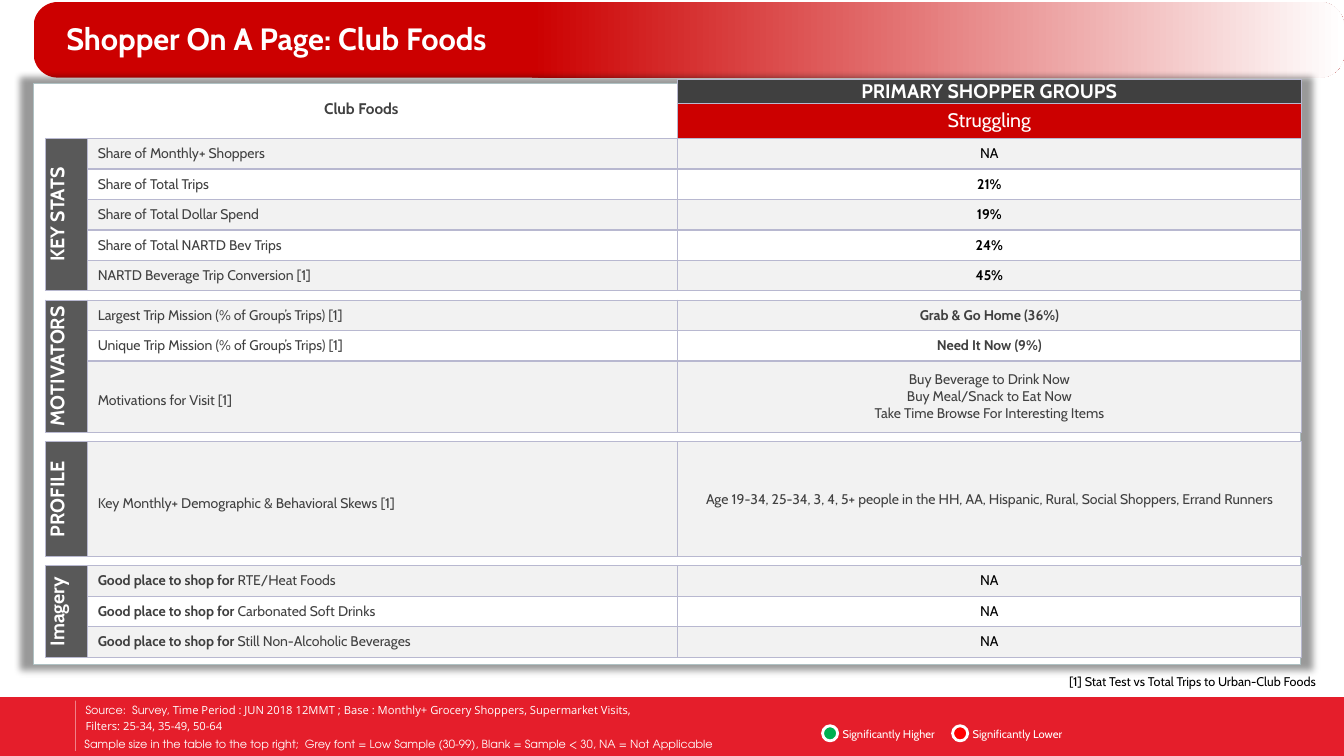
"""Builds the one-page shopper profile slide for Club Foods."""
from copy import deepcopy
from dataclasses import dataclass

from lxml import etree
from pptx import Presentation
from pptx import util as u
from pptx.dml.color import RGBColor
from pptx.enum import shapes, text
from pptx.oxml import ns


@dataclass(frozen=True)
class Theme:
    """Colours, fonts and type sizes of the slide."""
    red: str = "CC0000"
    footer: str = "E51E2B"
    white: str = "FFFFFF"
    black: str = "000000"
    ink: str = "404040"
    label: str = "595959"
    band: str = "F2F2F2"
    rule: str = "B8B8D0"
    edge: str = "AFC1C3"
    higher: str = "00B050"
    lower: str = "FF0000"
    font: str = "Cabin"
    open_font: str = "Open Sans"
    wide_font: str = "TeX Gyre Adventor"
    title: int = 22
    heading: int = 14
    subheading: int = 11
    body: int = 10
    note: int = 9
    small: int = 8


THEME = Theme()
COLUMNS, ROWS = 160, 90
NO_GRID_STYLE = "{2D5ABB26-0587-4C30-8999-92F81FD0307C}"


def node(parent, tag, **attributes):
    """Append a drawing element and return it."""
    return etree.SubElement(parent, ns.qn("a:" + tag), attributes)


def write(frame, content, size=THEME.body, color=THEME.ink, font=THEME.font, bold=False,
          align="LEFT", leading=None, before=None, after=None):
    """Fill a text frame with paragraphs of plain text or (text, overrides) spans."""
    for index, spans in enumerate([content] if isinstance(content, str) else content):
        para = frame.paragraphs[0] if index == 0 else frame.add_paragraph()
        para.alignment = getattr(text.PP_ALIGN, align)
        para.line_spacing = leading
        para.space_before = before and u.Pt(before)
        para.space_after = after and u.Pt(after)
        for words, changes in [(spans, {})] if isinstance(spans, str) else spans:
            look = dict(size=size, color=color, font=font, bold=bold) | changes
            span = para.add_run()
            span.text = words
            span.font.size, span.font.name = u.Pt(look["size"]), look["font"]
            span.font.bold = look["bold"]
            span.font.color.rgb = RGBColor.from_string(look["color"])


class Page:
    """Draws elements on one slide, measured in grid columns and rows."""

    def __init__(self, deck, theme):
        """Add a blank slide and set up the grid."""
        self.theme = theme
        self.slide = deck.slides.add_slide(deck.slide_layouts[6])
        self.column = deck.slide_width / COLUMNS
        self.row = deck.slide_height / ROWS

    def place(self, left, top, width, height):
        """Turn grid units into slide lengths."""
        return [u.Emu(round(units * step)) for units, step in
                zip((left, top, width, height), (self.column, self.row) * 2)]

    def shape(self, area, fill, kind="RECTANGLE", line=None, weight=1):
        """Draw a filled preset shape."""
        shape = self.slide.shapes.add_shape(getattr(shapes.MSO_SHAPE, kind), *self.place(*area))
        shape.shadow.inherit = False
        shape.fill.solid()
        shape.fill.fore_color.rgb = RGBColor.from_string(fill)
        if line:
            shape.line.color.rgb = RGBColor.from_string(line)
            shape.line.width = u.Pt(weight)
        else:
            shape.line.fill.background()
        return shape

    def banner(self, area, stops):
        """Draw a rounded bar with a left-to-right gradient."""
        bar = self.shape(area, self.theme.red, "ROUNDED_RECTANGLE")
        bar.adjustments[0] = 0.32
        bar.fill.gradient()
        bar.fill.gradient_angle = 0
        stop_list = bar.element.spPr.find(".//" + ns.qn("a:gsLst"))
        stop_list.insert(0, deepcopy(stop_list[0]))
        for stop, (position, color) in zip(bar.fill.gradient_stops, stops):
            stop.position = position
            stop.color.rgb = RGBColor.from_string(color)

    def panel(self, area):
        """Draw the white panel with its soft shadow."""
        panel = self.shape(area, self.theme.white, line=self.theme.edge, weight=0.75)
        effects = panel.element.spPr.find(ns.qn("a:effectLst"))
        shadow = node(effects, "outerShdw", blurRad=str(u.Pt(5)), sx="102000", sy="102000",
                      algn="ctr", rotWithShape="0")
        node(node(shadow, "srgbClr", val=self.theme.black), "alpha", val="40000")

    def text(self, area, content, anchor="MIDDLE", **style):
        """Add a wrapping text box."""
        box = self.slide.shapes.add_textbox(*self.place(*area))
        box.text_frame.word_wrap = True
        box.text_frame.vertical_anchor = getattr(text.MSO_ANCHOR, anchor)
        write(box.text_frame, content, **style)

    def divider(self, left, top, bottom):
        """Draw a faint vertical line."""
        x, y, _, height = self.place(left, top, 0, bottom - top)
        line = self.slide.shapes.add_connector(shapes.MSO_CONNECTOR.STRAIGHT, x, y, x, y + height)
        line.line.color.rgb = RGBColor.from_string(self.theme.white)
        line.line.width = u.Pt(0.5)
        properties = line.element.spPr
        node(properties.find(".//" + ns.qn("a:srgbClr")), "alpha", val="43000")
        node(properties, "effectLst")

    def table(self, left, top, widths, heights):
        """Add an unstyled table."""
        area = self.place(left, top, sum(widths), sum(heights))
        frame = self.slide.shapes.add_table(len(heights), len(widths), *area)
        table = frame.table
        table.first_row = table.horz_banding = False
        frame.element.find(".//" + ns.qn("a:tableStyleId")).text = NO_GRID_STYLE
        for column, width in zip(table.columns, widths):
            column.width = round(width * self.column)
        for row, height in zip(table.rows, heights):
            row.height = round(height * self.row)
        return table

    def cell(self, cell, content="", fill=None, sides="LRTB", indent=0, upright=False, **style):
        """Format one table cell and write its text."""
        properties = cell._tc.get_or_add_tcPr()
        for side in sides:
            line = node(properties, "ln" + side, w=str(u.Pt(1)))
            node(node(line, "solidFill"), "srgbClr", val=self.theme.rule)
        if fill:
            cell.fill.solid()
            cell.fill.fore_color.rgb = RGBColor.from_string(fill)
        else:
            cell.fill.background()
        cell.margin_left = u.Inches(indent)
        cell.margin_right = cell.margin_top = cell.margin_bottom = 0
        cell.vertical_anchor = text.MSO_ANCHOR.MIDDLE
        if upright:
            properties.set("vert", "vert270")
        if content:
            write(cell.text_frame, content, **style)
        else:
            node(cell.text_frame.paragraphs[0]._p, "endParaRPr", sz="100")


def imagery(item):
    """Return an imagery row with its bold lead-in."""
    return [[("Good place to shop for ", {"bold": True}), (item, {})]], "NA", LINE, FIGURE


LINE, GAP = 3.63, 1.1
FIGURE = {"color": THEME.black}
STRONG_FIGURE = FIGURE | {"bold": True}
STRONG = {"bold": True}
SECTIONS = [
    ("KEY STATS", [
        ("Share of Monthly+ Shoppers", "NA", LINE, FIGURE),
        ("Share of Total Trips", "21%", LINE, STRONG_FIGURE),
        ("Share of Total Dollar Spend", "19%", LINE, STRONG_FIGURE),
        ("Share of Total NARTD Bev Trips", "24%", LINE, STRONG_FIGURE),
        ("NARTD Beverage Trip Conversion [1]", "45%", LINE, STRONG_FIGURE)]),
    ("MOTIVATORS", [
        ("Largest Trip Mission (% of Group’s Trips) [1]", "Grab & Go Home (36%)", LINE, STRONG),
        ("Unique Trip Mission (% of Group’s Trips) [1]", "Need It Now (9%)", LINE, STRONG),
        ("Motivations for Visit [1]", ["Buy Beverage to Drink Now", "Buy Meal/Snack to Eat Now",
                                       "Take Time Browse For Interesting Items"], 8.5, {})]),
    ("PROFILE", [
        ("Key Monthly+ Demographic & Behavioral Skews [1]",
         "Age 19-34, 25-34, 3, 4, 5+ people in the HH, AA, Hispanic, Rural, Social Shoppers, "
         "Errand Runners", 13.68, {})]),
    ("Imagery", [imagery(item) for item in (
        "RTE/Heat Foods", "Carbonated Soft Drinks", "Still Non-Alcoholic Beverages")]),
]


def shopper_table(page):
    """Draw the header and the four sections of the shopper table."""
    theme = page.theme
    heights = [2.76, 4.2]
    for _, rows in SECTIONS:
        heights += [row[2] for row in rows] + [GAP]
    table = page.table(5.4, 9.48, [5.04, 70.2, 74.28], heights[:-1])
    heading = dict(size=theme.heading, color=theme.white, align="CENTER")
    table.cell(0, 0).merge(table.cell(1, 1))
    page.cell(table.cell(0, 0), "Club Foods", sides="RB", size=theme.subheading, bold=True,
              align="CENTER")
    page.cell(table.cell(0, 2), "PRIMARY SHOPPER GROUPS", theme.ink, bold=True, **heading)
    page.cell(table.cell(1, 2), "Struggling", theme.red, **heading)
    first = 2
    for name, rows in SECTIONS:
        if first > 2:
            for column in range(3):
                page.cell(table.cell(first - 1, column), sides="TB")
        if len(rows) > 1:
            table.cell(first, 0).merge(table.cell(first + len(rows) - 1, 0))
        page.cell(table.cell(first, 0), name, theme.label, upright=True, bold=True, **heading)
        for index, (measure, value, height, look) in enumerate(rows):
            fill = None if index % 2 else theme.band
            page.cell(table.cell(first + index, 1), measure, fill, indent=0.1,
                      leading=1.5 if height > LINE else None)
            page.cell(table.cell(first + index, 2), value, fill, align="CENTER", **look)
        first += len(rows) + 1


def footer(page):
    """Draw the footer bar with its source lines and legend."""
    theme = page.theme
    small = dict(size=theme.small, color=theme.white, before=1.6)
    page.shape((0, 83, COLUMNS, 7), theme.footer)
    page.text((9, 83.16, 78.12, 4.56), [
        [("Source:  Survey, ", {"font": theme.wide_font}),
         ("Time Period : JUN 2018 12MMT ; Base : Monthly+ Grocery Shoppers, "
          "Supermarket Visits,", {})],
        "Filters: 25-34, 35-49, 50-64"], font=theme.open_font, **small)
    page.text((8.88, 86.64, 89.4, 3.96),
              "Sample size in the table to the top right;  Grey font = Low Sample (30-99), "
              "Blank = Sample < 30, NA = Not Applicable", font=theme.wide_font, **small)
    for index, (meaning, color) in enumerate([("Higher", theme.higher), ("Lower", theme.lower)]):
        left = 97.92 + index * 15.48
        page.text((left + 1.2, 86.16, 14.4, 2.4), "Significantly " + meaning, **small)
        page.shape((left, 86.4, 1.8, 1.8), color, "OVAL", theme.white, 2)
    page.divider(9, 83.4, 89.4)


def main():
    """Build and save the deck."""
    deck = Presentation()
    deck.slide_width, deck.slide_height = u.Inches(13.33), u.Inches(7.5)
    page = Page(deck, THEME)
    footer(page)
    page.banner((4, 0.24, 156, 9), [(0, THEME.red), (0.38, THEME.red), (1, THEME.white)])
    page.text((6.72, 2.04, 119.52, 5.28), "Shopper On A Page: Club Foods", "BOTTOM",
              size=THEME.title, color=THEME.white, bold=True, leading=0.85, after=12)
    page.panel((4, 9.96, 150.84, 69.12))
    page.text((99.12, 79.68, 58.68, 3), "[1] Stat Test vs Total Trips to Urban-Club Foods", "TOP",
              size=THEME.note, color=THEME.black, align="RIGHT")
    shopper_table(page)
    deck.save("out.pptx")


main()
